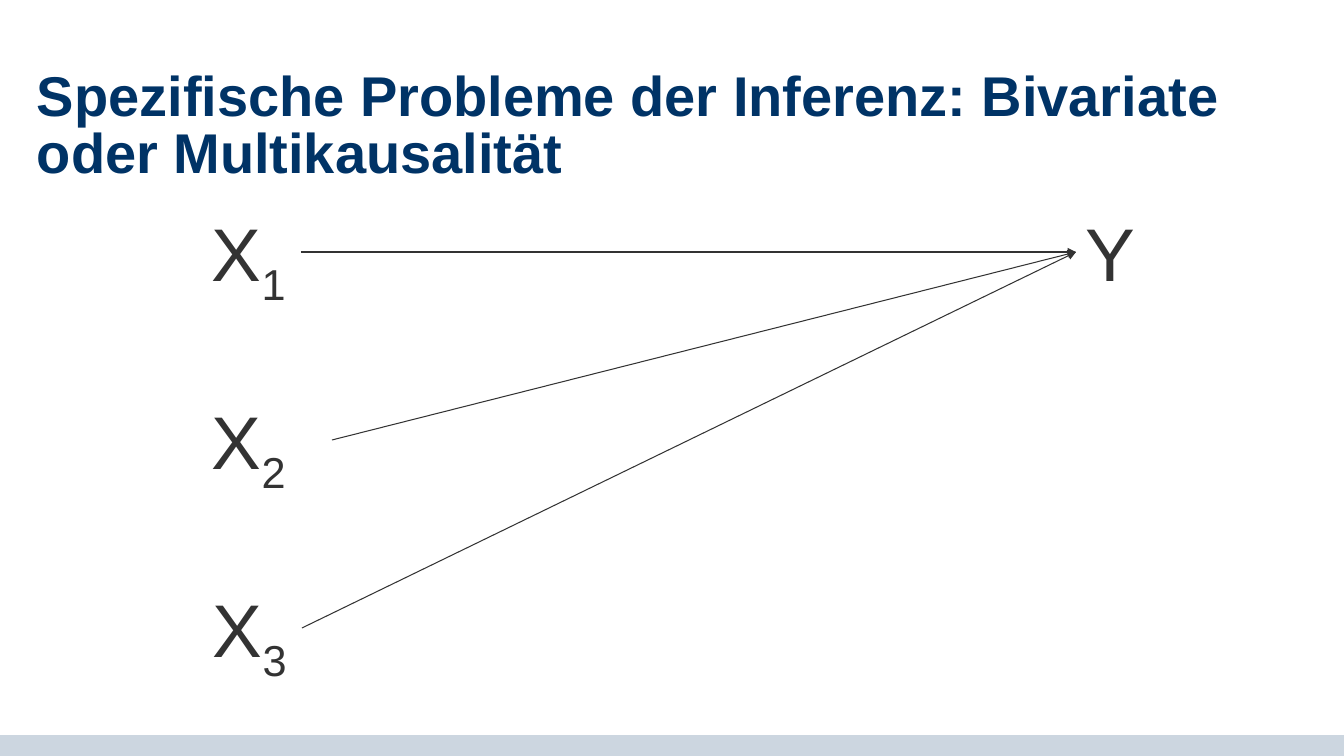
"""Build a slide showing three causes X pointing at one outcome Y."""
from dataclasses import dataclass

from lxml import etree
from pptx import Presentation
from pptx import util as u
from pptx.dml.color import RGBColor
from pptx.enum import shapes, text
from pptx.oxml import ns

EMU_PER_PX = 12192000 / 1344


@dataclass(frozen=True)
class Theme:
    font: str = "Arial"
    title_color: str = "003366"
    ink: str = "333333"
    bar: str = "CCD6E0"
    title_size: float = 40
    variable_size: float = 53.3
    line_width: float = 0.75


@dataclass(frozen=True)
class Variable:
    letter: str
    left: int
    top: int
    width: int
    index: str = ""
    wrap: bool = True


THEME = Theme()
ROW_TOP, ROW_PITCH, ROW_HEIGHT = 202, 188, 100
TITLE = "Spezifische Probleme der Inferenz: Bivariate oder Multikausalität"
OUTCOME = Variable("Y", 1076, ROW_TOP, 65)
CAUSES = [
    Variable("X", left, ROW_TOP + row * ROW_PITCH, width, str(row + 1), wrap)
    for row, (left, width, wrap) in enumerate([(202, 99, False), (202, 130, True), (203, 99, False)])
]


def px(*lengths: int) -> list[u.Emu]:
    return [u.Emu(round(length * EMU_PER_PX)) for length in lengths]


def apply_format(target, values: dict) -> None:
    for name, value in values.items():
        setattr(target, name, value)


def add_run(paragraph, words: str, size: float, color: str, bold: bool = False):
    run = paragraph.add_run()
    run.text = words
    apply_format(run.font, {"name": THEME.font, "size": u.Pt(size), "bold": bold})
    run.font.color.rgb = RGBColor.from_string(color)
    return run


def add_bar(slide) -> None:
    shape = slide.shapes.add_shape(shapes.MSO_SHAPE.RECTANGLE, *px(0, 735, 1344, 21))
    shape.shadow.inherit = False
    shape.fill.solid()
    shape.fill.fore_color.rgb = RGBColor.from_string(THEME.bar)
    shape.line.fill.background()


def add_title(slide) -> None:
    frame = slide.shapes.add_textbox(*px(37, 104, 1270, 47)).text_frame
    apply_format(frame, {
        "word_wrap": True,
        "vertical_anchor": text.MSO_ANCHOR.MIDDLE,
        "margin_left": 0,
        "margin_top": 0,
        "margin_right": 0,
        "margin_bottom": 0,
    })
    paragraph = frame.paragraphs[0]
    paragraph.line_spacing = 0.85
    add_run(paragraph, TITLE, THEME.title_size, THEME.title_color, bold=True)


def add_variable(slide, variable: Variable):
    shape = slide.shapes.add_textbox(*px(variable.left, variable.top, variable.width, ROW_HEIGHT))
    apply_format(shape.text_frame, {
        "word_wrap": variable.wrap,
        "auto_size": text.MSO_AUTO_SIZE.SHAPE_TO_FIT_TEXT,
    })
    paragraph = shape.text_frame.paragraphs[0]
    add_run(paragraph, variable.letter, THEME.variable_size, THEME.ink)
    if variable.index:
        subscript = add_run(paragraph, variable.index, THEME.variable_size, THEME.ink)
        subscript._r.get_or_add_rPr().set("baseline", "-25000")
    return shape


def add_arrow(slide, cause, outcome) -> None:
    connector = slide.shapes.add_connector(shapes.MSO_CONNECTOR.STRAIGHT, 0, 0, 0, 0)
    connector.begin_connect(cause, 3)
    connector.end_connect(outcome, 1)
    connector.line.width = u.Pt(THEME.line_width)
    connector.line.color.rgb = RGBColor.from_string(THEME.ink)
    properties = connector._element.spPr
    etree.SubElement(properties.find(ns.qn("a:ln")), ns.qn("a:tailEnd"), type="triangle")
    etree.SubElement(properties, ns.qn("a:effectLst"))


def main() -> None:
    presentation = Presentation()
    presentation.slide_width, presentation.slide_height = px(1344, 756)
    slide = presentation.slides.add_slide(presentation.slide_layouts[6])
    add_bar(slide)
    add_title(slide)
    outcome = add_variable(slide, OUTCOME)
    for cause in CAUSES:
        add_arrow(slide, add_variable(slide, cause), outcome)
    presentation.save("out.pptx")


if __name__ == "__main__":
    main()
